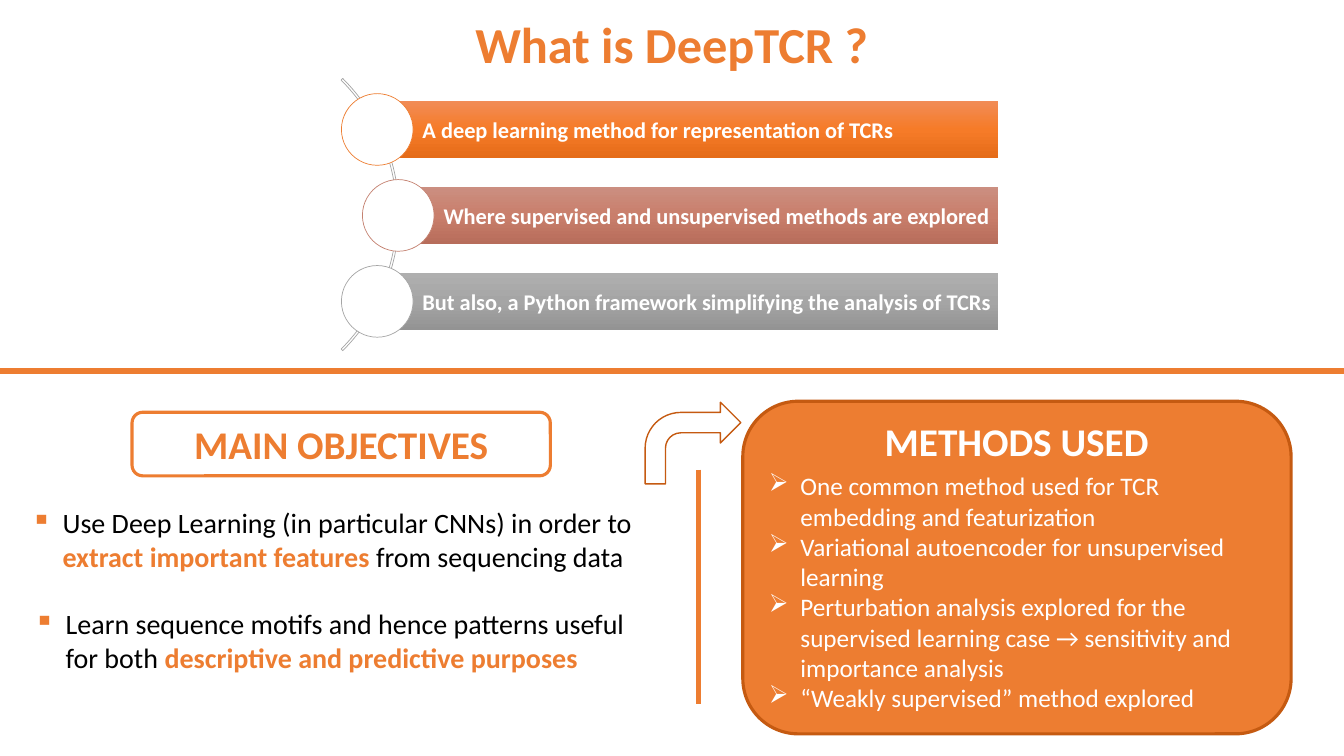
from copy import deepcopy

from lxml import etree
from pptx import Presentation
from pptx.dml.color import RGBColor
from pptx.enum import shapes, text
from pptx.oxml import ns
from pptx.util import Pt

FONT = "Calibri"
COLORS = {
    "orange": "ED7D31",
    "dark orange": "C55A11",
    "rose": "C48170",
    "gray": "A5A5A5",
    "white": "FFFFFF",
    "black": "000000",
}
SHAPE = shapes.MSO_SHAPE
CENTER = text.PP_ALIGN.CENTER
LEFT = text.PP_ALIGN.LEFT
INDENT = 22.5
FEATURES = [
    ("A deep learning method for representation of TCRs", "orange",
     ("F18C57", "F67B28", "E56C19")),
    ("Where supervised and unsupervised methods are explored", "rose",
     ("CB8F81", "C97E6B", "B76D5B")),
    ("But also, a Python framework simplifying the analysis of TCRs", "gray",
     ("AFAFAF", "A5A5A5", "939393")),
]
OBJECTIVES = [
    ((15.1, 357.8, 468, 55.4), [
        ("Use Deep Learning (in particular CNNs) in order to ", False),
        ("extract important features ", True),
        ("from sequencing data", False)]),
    ((17.3, 429.8, 462.2, 55.4), [
        ("Learn sequence motifs and hence patterns useful for both ", False),
        ("descriptive and predictive purposes", True)]),
]
METHODS = [
    "One common method used for TCR embedding and featurization",
    "Variational autoencoder for unsupervised learning",
    "Perturbation analysis explored for the supervised learning case → "
    "sensitivity and importance analysis",
    "“Weakly supervised” method explored",
]


def rgb(name):
    return RGBColor.from_string(COLORS[name])


def style(font, size, color, bold=False):
    font.name, font.size, font.bold = FONT, Pt(size), bold
    font.color.rgb = rgb(color)


def add_shape(page, kind, place, fill=None, line=None, width=0.5):
    shape = page.shapes.add_shape(kind, *map(Pt, place))
    shape.shadow.inherit = False
    if fill:
        shape.fill.solid()
        shape.fill.fore_color.rgb = rgb(fill)
    else:
        shape.fill.background()
    if line:
        shape.line.color.rgb = rgb(line)
        shape.line.width = Pt(width)
    else:
        shape.line.fill.background()
    return shape


def add_box(page, place, wrap=True):
    box = page.shapes.add_textbox(*map(Pt, place))
    box.text_frame.word_wrap = wrap
    return box


def write(shape, words, size, color, bold=True, align=CENTER):
    para = shape.text_frame.paragraphs[0]
    para.text, para.alignment = words, align
    style(para.font, size, color, bold)
    return para


def add_rule(page, start, end, width):
    rule = page.shapes.add_connector(
        shapes.MSO_CONNECTOR.STRAIGHT, *map(Pt, start + end))
    rule.line.color.rgb = rgb("orange")
    rule.line.width = Pt(width)
    etree.SubElement(rule._element.spPr, ns.qn("a:effectLst"))


def set_bullet(para, symbol, color):
    props = para._p.get_or_add_pPr()
    props.set("marL", str(Pt(INDENT)))
    props.set("indent", str(-Pt(INDENT)))
    paint = etree.SubElement(props, ns.qn("a:buClr"))
    etree.SubElement(paint, ns.qn("a:srgbClr"), val=COLORS[color])
    etree.SubElement(props, ns.qn("a:buChar"), char=symbol)


def fill_gradient(shape, shades):
    shape.fill.gradient()
    shape.fill.gradient_angle = 270
    first = shape._element.spPr.find(".//" + ns.qn("a:gs"))
    first.addnext(deepcopy(first))
    for stop, shade, position in zip(shape.fill.gradient_stops, shades, (0, 0.5, 1)):
        stop.color.rgb = RGBColor.from_string(shade)
        stop.position = position


def add_features(page):
    arc = add_shape(page, SHAPE.BLOCK_ARC, (10.1, 15.8, 275, 275), line="gray")
    for index, value in enumerate((189, 27, 0.006)):
        arc.adjustments[index] = value
    for row, (words, color, shades) in enumerate(FEATURES):
        left = 269.3 + 15 * (row % 2)
        top = 72 + 61.4 * row
        bar = add_shape(page, SHAPE.RECTANGLE, (left, top, 712.8 - left, 41))
        fill_gradient(bar, shades)
        frame = bar.text_frame
        frame.margin_left = Pt(32.5)
        frame.margin_right = Pt(2.9)
        write(bar, words, 16, "white", align=LEFT)
        add_shape(page, SHAPE.OVAL, (left - 25.4, top - 5.1, 51.2, 51.2), "white", color)


def add_objective(page, place, spans):
    para = add_box(page, place).text_frame.paragraphs[0]
    set_bullet(para, "▪", "orange")
    for words, strong in spans:
        span = para.add_run()
        span.text = words
        style(span.font, 20, "orange" if strong else "black", strong)


def add_methods(page):
    panel = add_shape(page, SHAPE.ROUNDED_RECTANGLE, (530.6, 286.6, 391.7, 237.6),
                      "orange", "dark orange", 2.25)
    frame = panel.text_frame
    frame.vertical_anchor = text.MSO_ANCHOR.BOTTOM
    for index, words in enumerate(METHODS):
        para = frame.add_paragraph() if index else frame.paragraphs[0]
        para.text, para.alignment = words, LEFT
        style(para.font, 18, "white")
        set_bullet(para, "➢", "white")
    write(add_box(page, (576.7, 294.5, 298.8, 41)), "METHODS USED", 28, "white")


def main():
    deck = Presentation()
    deck.slide_width, deck.slide_height = Pt(960), Pt(540)
    page = deck.slides.add_slide(deck.slide_layouts[6])
    title = add_box(page, (331.2, 5.8, 297.4, 51.1), wrap=False)
    write(title, "What is DeepTCR ?", 36, "orange")
    add_features(page)
    add_rule(page, (0, 265), (960, 265), 4.5)
    for place, spans in OBJECTIVES:
        add_objective(page, place, spans)
    heading = add_shape(page, SHAPE.ROUNDED_RECTANGLE, (94.3, 294.5, 298.8, 45.4),
                        "white", "orange", 2.25)
    write(heading, "MAIN OBJECTIVES", 28, "orange")
    add_rule(page, (499, 335.5), (499, 502.6), 3)
    add_methods(page)
    add_shape(page, SHAPE.BENT_ARROW, (460.8, 287.3, 68.4, 58.3),
              "white", "dark orange", 1)
    deck.save("out.pptx")


if __name__ == "__main__":
    main()
